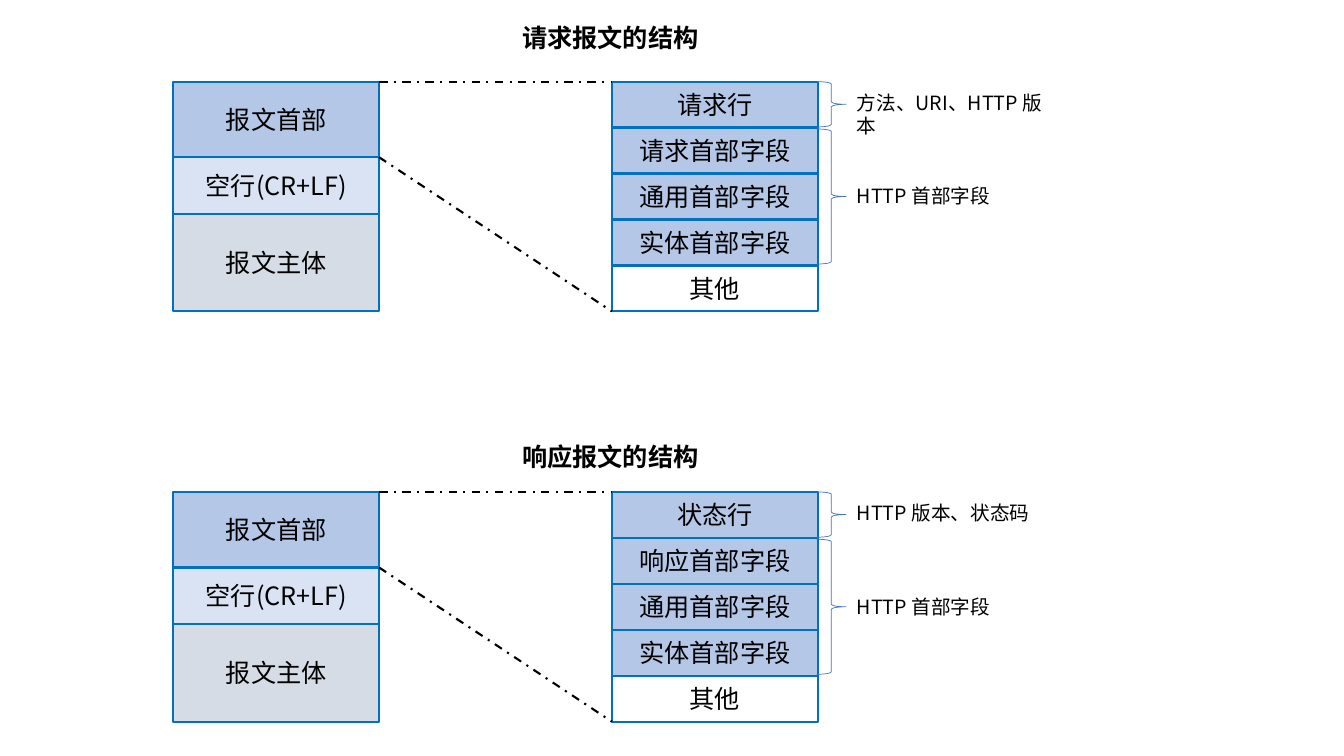
import pptx
import pptx.util
import pptx.dml.color
import pptx.enum.dml
import pptx.enum.shapes
import pptx.enum.text
import pptx.oxml
import pptx.oxml.ns

RGB = pptx.dml.color.RGBColor
KIND = pptx.enum.shapes.MSO_SHAPE
AUTO = pptx.enum.text.MSO_AUTO_SIZE
CENTER = pptx.enum.text.PP_ALIGN.CENTER

UNIT = 9144  # EMU in one px, 100 px to the inch
FONT = "Noto Sans CJK SC"
BLACK = RGB(0x00, 0x00, 0x00)
WHITE = RGB(0xFF, 0xFF, 0xFF)
EDGE = RGB(0x00, 0x70, 0xC0)
HEAD = RGB(0xB4, 0xC7, 0xE7)
BLANK = RGB(0xDA, 0xE3, 0xF3)
BODY = RGB(0xD6, 0xDC, 0xE5)
BRACE = RGB(0x44, 0x72, 0xC4)

CELL = 204   # width of both stacks
RIGHT = 435  # offset of the field stack
PARTS = [("报文首部", 75, HEAD), ("空行(CR+LF)", 56, BLANK), ("报文主体", 97, BODY)]


def px(*sizes):
    return [pptx.util.Emu(round(size * UNIT)) for size in sizes]


def write(shape, text, size, bold=None, align=None):
    para = shape.text_frame.paragraphs[0]
    para.text = text
    para.alignment = align
    font = para.font
    font.name, font.size, font.bold = FONT, pptx.util.Pt(size), bold
    font.color.rgb = BLACK
    # East Asian typeface
    props = para._p.pPr.find(pptx.oxml.ns.qn("a:defRPr"))
    props.append(pptx.oxml.parse_xml(
        f'<a:ea {pptx.oxml.ns.nsdecls("a")} typeface="{FONT}"/>'))


def label(shapes, box, text, size, wrap=True, bold=None):
    shape = shapes.add_textbox(*px(*box))
    shape.text_frame.word_wrap = wrap
    shape.text_frame.auto_size = AUTO.SHAPE_TO_FIT_TEXT
    write(shape, text, size, bold)


def outline(shapes, kind, box, color, width):
    shape = shapes.add_shape(kind, *px(*box))
    shape.shadow.inherit = False
    shape.fill.background()
    shape.line.color.rgb = color
    shape.line.width = pptx.util.Pt(width)
    return shape


def cell(shapes, box, text, fill):
    shape = outline(shapes, KIND.RECTANGLE, box, EDGE, 1.5)
    shape.fill.solid()
    shape.fill.fore_color.rgb = fill
    write(shape, text, 18, align=CENTER)


def guide(shapes, start, end):
    link = shapes.add_connector(
        pptx.enum.shapes.MSO_CONNECTOR.STRAIGHT, *px(*start, *end))
    link.line.color.rgb = BLACK
    link.line.width = pptx.util.Pt(1.5)
    link.line.dash_style = pptx.enum.dml.MSO_LINE.DASH_DOT
    link._element.spPr.append(pptx.oxml.parse_xml(
        f'<a:effectLst {pptx.oxml.ns.nsdecls("a")}/>'))


def message(slide, box, title, lift, fields, notes):
    left, top, width, height = box
    shapes = slide.shapes.add_group_shape().shapes
    label(shapes, (left + 336, top - lift, 197, 40), title, 18, False, True)

    # Whole message
    y = top
    for text, tall, fill in PARTS:
        cell(shapes, (left, y, CELL, tall), text, fill)
        y += tall

    # Fields of the header
    step = height / len(fields)
    for row, text in enumerate(fields):
        fill = WHITE if text == "其他" else HEAD
        cell(shapes, (left + RIGHT, top + row * step, CELL, step), text, fill)

    # Guides from the header to its fields
    guide(shapes, (left + CELL, top), (left + RIGHT, top))
    guide(shapes, (left + CELL, top + PARTS[0][1]), (left + RIGHT, top + height))

    # Braces and notes
    edge = left + RIGHT + CELL - 1
    for text, y, tall, drop in zip(notes, (0, 47), (45, 134), (4, 97)):
        outline(shapes, KIND.RIGHT_BRACE, (edge, top + y, 29, tall), BRACE, 0.5)
        label(shapes, (edge + 30, top + drop, left + width - edge - 30, 34),
              text, 14)


def main():
    deck = pptx.Presentation()
    deck.slide_width, deck.slide_height = px(1333, 750)
    slide = deck.slides.add_slide(deck.slide_layouts[6])
    common = ["通用首部字段", "实体首部字段", "其他"]
    message(slide, (172, 81, 888, 228), "请求报文的结构", 64,
            ["请求行", "请求首部字段"] + common,
            ["方法、URI、HTTP 版本", "HTTP 首部字段"])
    message(slide, (172, 488, 888, 228), "响应报文的结构", 55,
            ["状态行", "响应首部字段"] + common,
            ["HTTP 版本、状态码", "HTTP 首部字段"])
    deck.save("out.pptx")


if __name__ == "__main__":
    main()
